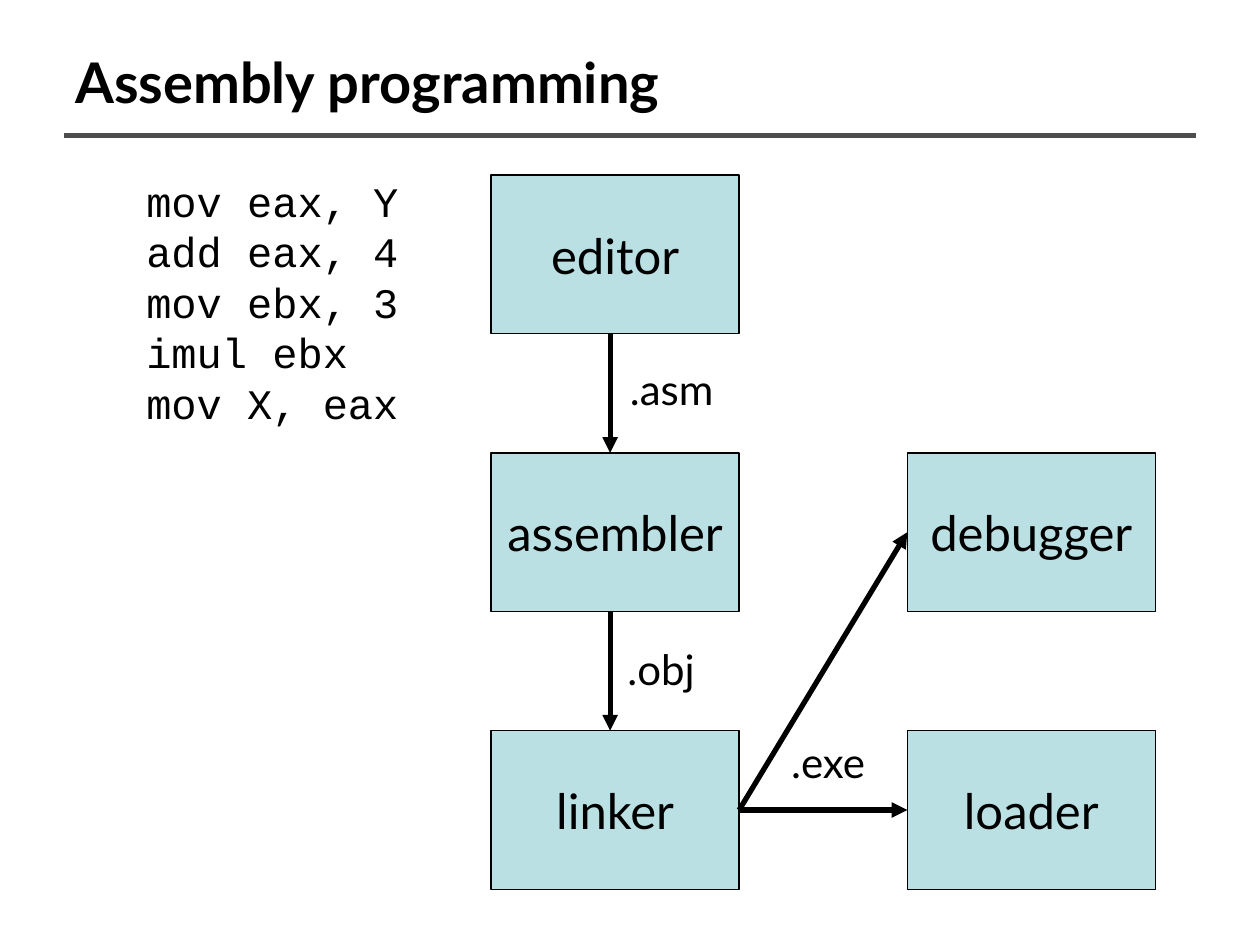
from lxml import etree
from pptx import Presentation
from pptx.dml.color import RGBColor
from pptx.enum.shapes import MSO_CONNECTOR, MSO_SHAPE
from pptx.enum.text import MSO_ANCHOR, PP_ALIGN
from pptx.oxml.ns import qn
from pptx.util import Cm, Pt

COLORS = {"text": "000000", "box": "BBE0E3", "rule": "4D4D4D"}


def add_text(sp, text, size=24, font="Lato", bold=False, align=PP_ALIGN.LEFT,
             anchor=MSO_ANCHOR.TOP, wrap=False, spacing=None):
    tf = sp.text_frame
    tf.word_wrap = wrap
    tf.vertical_anchor = anchor
    for i, line in enumerate(text.split("\n")):
        p = tf.add_paragraph() if i else tf.paragraphs[0]
        p.alignment = align
        p.line_spacing = spacing
        r = p.add_run()
        r.text = line
        r.font.name = font
        r.font.size = Pt(size)
        r.font.bold = bold
        r.font.color.rgb = RGBColor.from_string(COLORS["text"])
    return tf


def add_line(x1, y1, x2, y2, color="text", arrow=True):
    c = s.shapes.add_connector(MSO_CONNECTOR.STRAIGHT, Cm(x1), Cm(y1), Cm(x2), Cm(y2))
    c.line.width = Pt(3)
    c.line.color.rgb = RGBColor.from_string(COLORS[color])
    if arrow:
        etree.SubElement(c.line._get_or_add_ln(), qn("a:tailEnd"), type="triangle")
    etree.SubElement(c._element.spPr, qn("a:effectLst"))


prs = Presentation()
prs.slide_width, prs.slide_height = Cm(25.4), Cm(19.05)
s = prs.slides.add_slide(prs.slide_layouts[6])

add_line(1.3, 2.73, 24.1, 2.73, color="rule", arrow=False)
title = s.shapes.add_textbox(Cm(1.27), Cm(0.76), Cm(22.86), Cm(1.75))
add_text(title, "Assembly programming", size=32, bold=True,
         anchor=MSO_ANCHOR.MIDDLE, wrap=True)

box_w, box_h = 5, 3.2
cols = [9.9, 18.29]
rows = [3.53 + 5.6 * i for i in range(3)]
boxes = [("editor", 0, 0), ("assembler", 0, 1), ("linker", 0, 2),
         ("loader", 1, 2), ("debugger", 1, 1)]
for name, col, row in boxes:
    sp = s.shapes.add_shape(MSO_SHAPE.RECTANGLE, Cm(cols[col]), Cm(rows[row]),
                            Cm(box_w), Cm(box_h))
    sp.shadow.inherit = False
    sp.fill.solid()
    sp.fill.fore_color.rgb = RGBColor.from_string(COLORS["box"])
    sp.line.color.rgb = RGBColor.from_string(COLORS["text"])
    sp.line.width = Pt(0.75)
    add_text(sp, name, size=28, align=PP_ALIGN.CENTER, anchor=MSO_ANCHOR.MIDDLE)

for top, bottom in zip(rows, rows[1:]):
    add_line(12.3, top + box_h, 12.3, bottom)
for row in (2, 1):
    add_line(cols[0] + box_w, rows[2] + box_h / 2, cols[1], rows[row] + box_h / 2)

labels = [(".asm", 12.45, 7.2, 2.31), (".obj", 12.4, 12.85, 2.06),
          (".exe", 15.7, 14.73, 2.18)]
for text, x, y, w in labels:
    add_text(s.shapes.add_textbox(Cm(x), Cm(y), Cm(w), Cm(1.27)), text)

code = s.shapes.add_textbox(Cm(2.7), Cm(3.33), Cm(5.59), Cm(5.33))
tf = add_text(code, "mov eax, Y\nadd eax, 4\nmov ebx, 3\nimul ebx\nmov X, eax",
              font="Courier New", spacing=Pt(28.8))
tf.margin_top = Cm(0.21)

prs.save("out.pptx")
